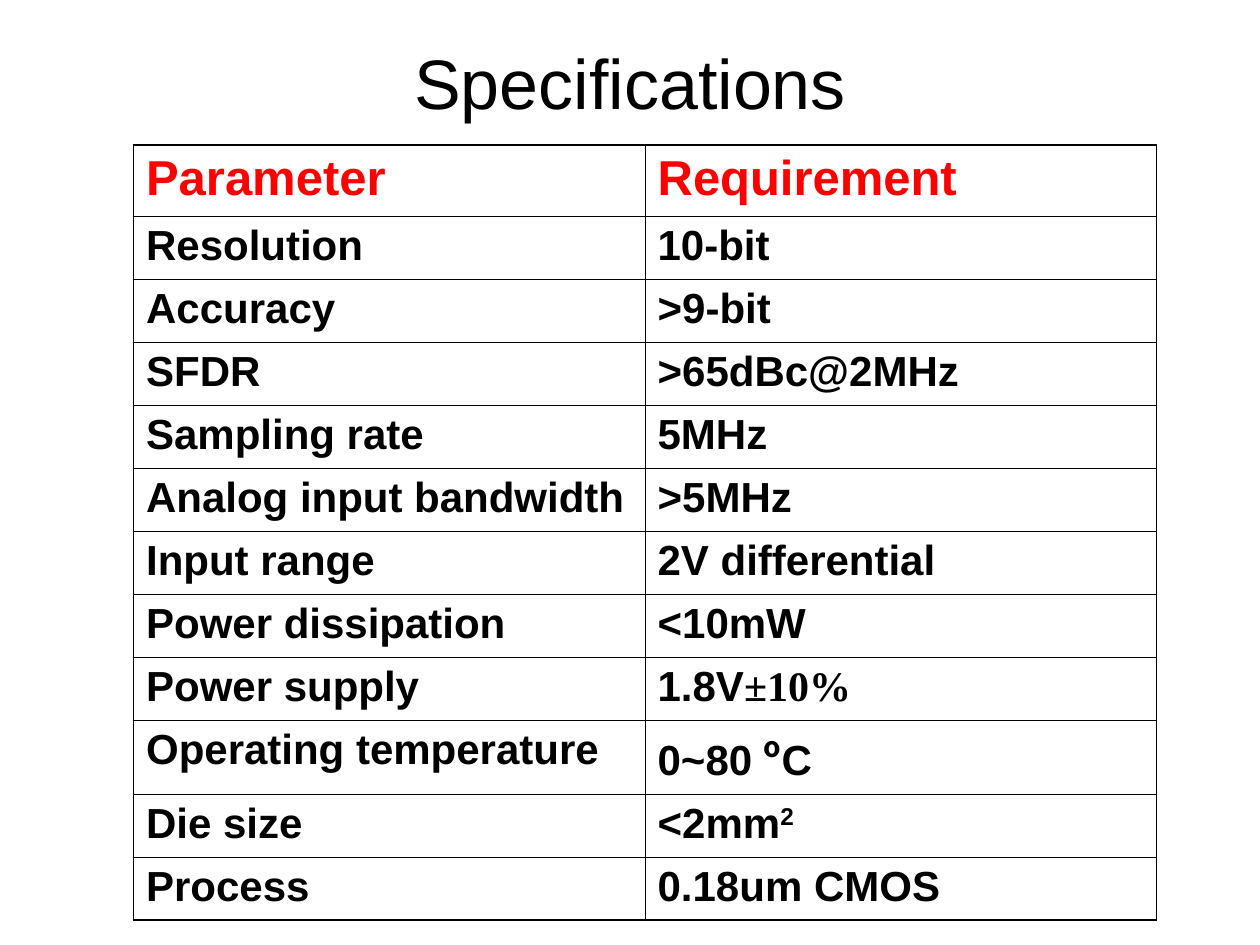
"""Build the converter specifications slide with its parameter table."""
from dataclasses import dataclass

from lxml.etree import SubElement
from pptx import Presentation
from pptx.dml.color import RGBColor as RGB
from pptx.enum.text import MSO_ANCHOR as Anchor, PP_ALIGN as Align
from pptx.oxml.ns import qn
from pptx.util import Inches, Pt


@dataclass(frozen=True)
class Theme:
    font: str = "Arial"
    serif: str = "Times New Roman"
    cjk: str = "Noto Sans CJK SC"
    ink: str = "000000"
    accent: str = "FF0000"
    title_size: int = 40
    head_size: int = 28
    body_size: int = 24
    outer_line: float = 1.08
    inner_line: float = 0.45


theme = Theme()


def add_run(p, text, size, color, bold=True, font=theme.font, baseline=0):
    r = p.add_run()
    r.text = text
    r.font.size, r.font.bold, r.font.name = Pt(size), bold, font
    r.font.color.rgb = RGB.from_string(color)
    SubElement(r.font._element, qn("a:ea")).set("typeface", font)
    if baseline:
        r.font._element.set("baseline", str(baseline * 1000))


def add_border(cell, side, width):
    ln = SubElement(cell._tc.get_or_add_tcPr(), qn(f"a:ln{side}"), w=str(Pt(width)))
    fill = SubElement(ln, qn("a:solidFill"))
    SubElement(fill, qn("a:srgbClr"), val=theme.ink)


rows = [
    ("Parameter", "Requirement"),
    ("Resolution", "10-bit"),
    ("Accuracy", ">9-bit"),
    ("SFDR", ">65dBc@2MHz"),
    ("Sampling rate", "5MHz"),
    ("Analog input bandwidth", ">5MHz"),
    ("Input range", "2V differential"),
    ("Power dissipation", "<10mW"),
    ("Power supply", [("1.8V", {}), ("±10%", {"font": theme.serif})]),
    ("Operating temperature", [("0~80 ", {}), ("º", {"font": theme.cjk}), ("C", {})]),
    ("Die size", [("<2mm", {}), ("2", {"baseline": 30})]),
    ("Process", "0.18um CMOS"),
]

prs = Presentation()
prs.slide_width, prs.slide_height = Inches(10), Inches(7.5)
W, H = prs.slide_width, prs.slide_height
s = prs.slides.add_slide(prs.slide_layouts[5])

title = s.shapes.title
title.left, title.top = int(W * 0.05), int(H * 0.04)
title.width, title.height = int(W * 0.9), Inches(0.69)
tf = title.text_frame
tf.vertical_anchor = Anchor.MIDDLE
p = tf.paragraphs[0]
p.alignment = Align.CENTER
add_run(p, "Specifications", theme.title_size, theme.ink, bold=False)

col_w, head_h, row_h = Inches(4.06), Inches(0.57), Inches(0.5)
last_row, last_col = len(rows) - 1, len(rows[0]) - 1
table = s.shapes.add_table(
    len(rows), len(rows[0]), Inches(1.06), Inches(1.15),
    col_w * len(rows[0]), head_h + row_h * last_row,
).table
table.first_row = table.horz_banding = False
for col in table.columns:
    col.width = col_w

for i, row in enumerate(rows):
    table.rows[i].height = row_h if i else head_h
    size, color = (theme.body_size, theme.ink) if i else (theme.head_size, theme.accent)
    for j, content in enumerate(row):
        cell = table.cell(i, j)
        cell.margin_left = cell.margin_right = Inches(0.1)
        cell.margin_top = cell.margin_bottom = Inches(0.05)
        edges = {"L": j == 0, "R": j == last_col, "T": i == 0, "B": i == last_row}
        for side, outer in edges.items():
            add_border(cell, side, theme.outer_line if outer else theme.inner_line)
        cell.fill.background()
        p = cell.text_frame.paragraphs[0]
        runs = [(content, {})] if isinstance(content, str) else content
        for text, style in runs:
            add_run(p, text, size, color, **style)

prs.save("out.pptx")
